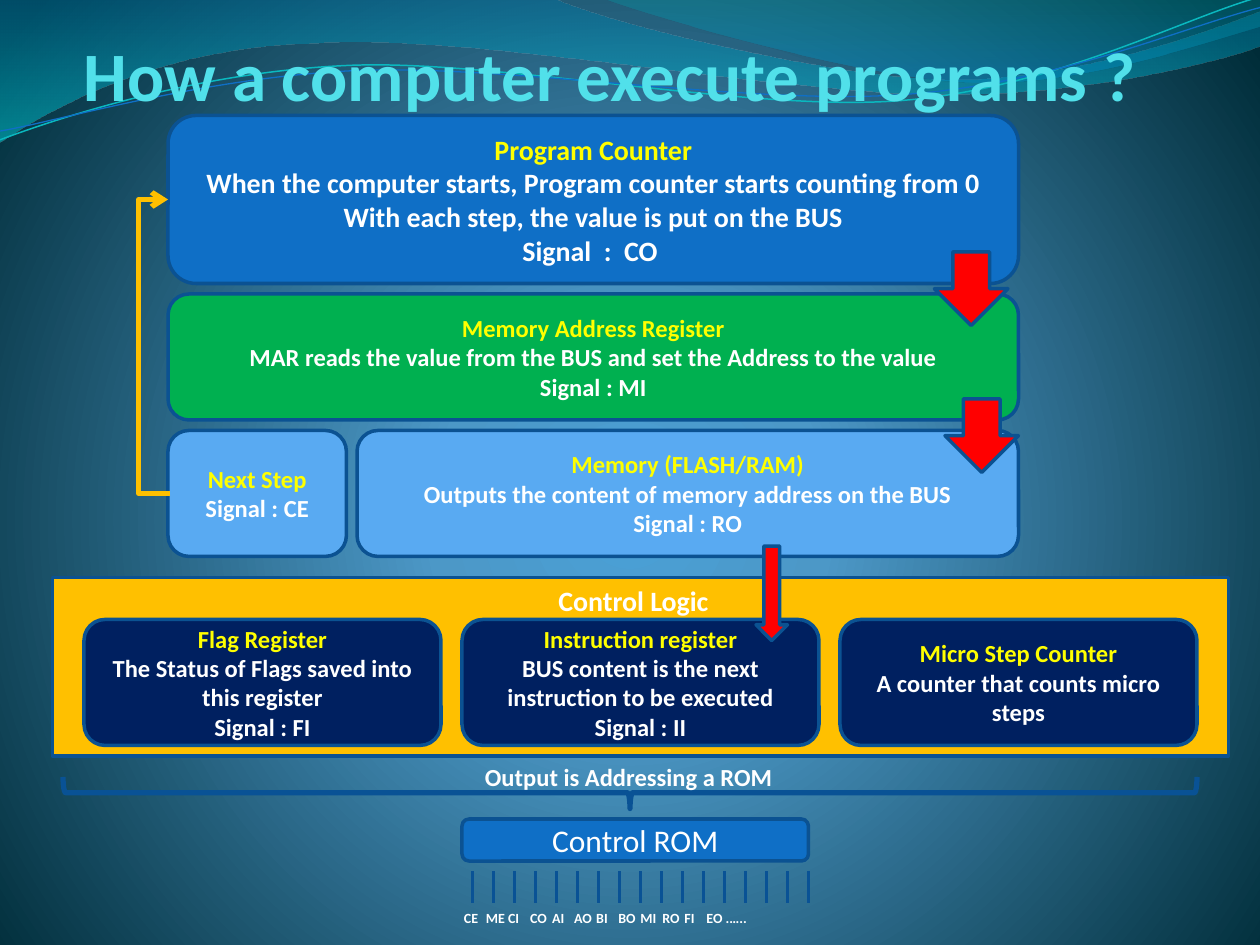
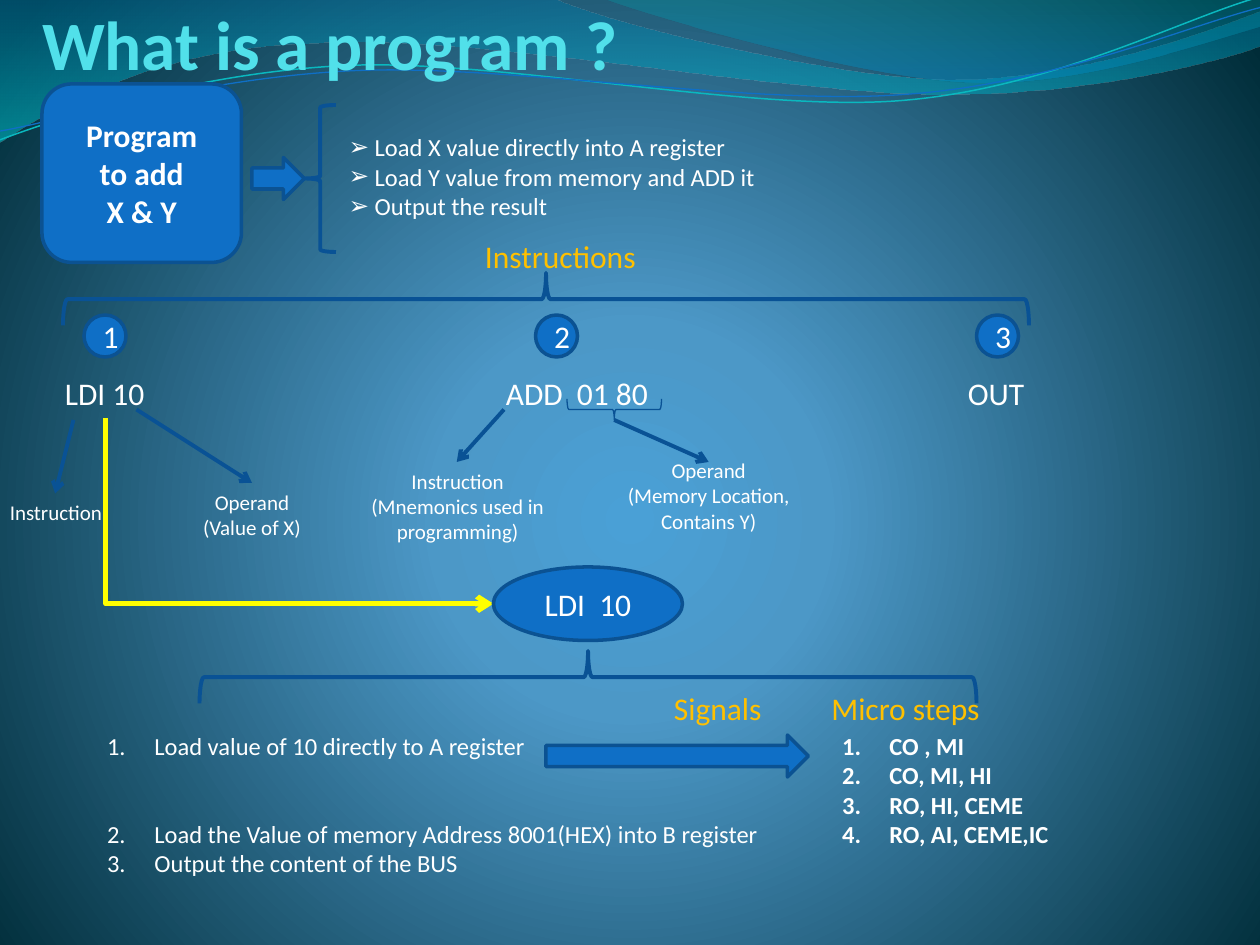
from dataclasses import dataclass

from pptx import Presentation
from pptx.dml.color import RGBColor
from pptx.enum.shapes import MSO_CONNECTOR as Link, MSO_SHAPE as Kind
from pptx.enum.text import MSO_ANCHOR as Anchor, MSO_AUTO_SIZE as Fit, PP_ALIGN as Align
from pptx.oxml import parse_xml
from pptx.oxml.ns import nsdecls, qn
from pptx.util import Pt

FONT = "Calibri"
WHITE = RGBColor(0xFF, 0xFF, 0xFF)
YELLOW = RGBColor(0xFF, 0xFF, 0x00)
AMBER = RGBColor(0xFF, 0xC0, 0x00)
RED = RGBColor(0xFF, 0x00, 0x00)
GREEN = RGBColor(0x00, 0xB0, 0x50)
BLUE = RGBColor(0x0F, 0x6F, 0xC6)
SKY = RGBColor(0x59, 0xAA, 0xF2)
NAVY = RGBColor(0x00, 0x20, 0x60)
EDGE = RGBColor(0x0B, 0x52, 0x92)
STROKE = RGBColor(0x09, 0x52, 0x95)
AQUA = RGBColor(0x51, 0xE0, 0xEA)
TEAL = RGBColor(0x0A, 0xB8, 0xBF)

CIRCLE = ('<a:path path="circle"><a:fillToRect l="10000" t="110000" '
          'r="10000" b="100000"/></a:path>')
DOWNWARD = '<a:lin ang="5400000" scaled="1"/>'


@dataclass
class Box:
    """An area in points; inside() gives a part relative to its corner."""
    left: float
    top: float
    width: float
    height: float

    def inside(self, x, y, width, height):
        return Box(self.left + x, self.top + y, width, height)

    def lengths(self):
        return Pt(self.left), Pt(self.top), Pt(self.width), Pt(self.height)


# ---- Text ----
def write(frame, lines, size, color=WHITE, bold=False, align=Align.LEFT, heading=None):
    """One paragraph a line; the first takes the heading colour, if any."""
    frame.text = "\n".join(lines)
    for index, para in enumerate(frame.paragraphs):
        para.alignment = align
        para.space_before = Pt(0)
        for span in para.runs:
            span.font.name = FONT
            span.font.size = Pt(size)
            span.font.bold = bold
            span.font.color.rgb = heading if heading and index == 0 else color


def add_label(page, box, lines, size, wrap=False, **style):
    frame = page.shapes.add_textbox(*box.lengths()).text_frame
    frame.word_wrap = wrap
    write(frame, lines, size, **style)
    return frame


def fill_placeholder(holder, box, lines, size, anchor, **style):
    holder.left, holder.top, holder.width, holder.height = box.lengths()
    frame = holder.text_frame
    frame.auto_size = Fit.NONE
    frame.vertical_anchor = anchor
    write(frame, lines, size, **style)
    return frame


def add_title(page, box, text):
    frame = fill_placeholder(page.shapes.title, box, [text], 39.6, Anchor.BOTTOM,
                             color=AQUA, bold=True)
    frame.margin_left = frame.margin_top = frame.margin_bottom = Pt(0)
    frame.margin_right = Pt(1.5)


def add_list(holder, box, lines, bullet, indent=0, bold=False):
    frame = fill_placeholder(holder, box, lines, 14, Anchor.TOP, bold=bold)
    for para in frame.paragraphs:
        properties = para._p.get_or_add_pPr()
        properties.set("marL", str(Pt(indent)))
        properties.set("indent", str(-Pt(indent)))
        properties.append(parse_xml(bullet % nsdecls("a")))
    return frame


ARROW_BULLET = '<a:buChar %s char="\u27a2"/>'
NUMBER = '<a:buAutoNum %s type="arabicPeriod"/>'


# ---- Shapes and lines ----
def add_block(page, kind, box, fill, lines=(), size=14, **style):
    shape = page.shapes.add_shape(kind, *box.lengths())
    shape.shadow.inherit = False
    shape.fill.solid()
    shape.fill.fore_color.rgb = fill
    shape.line.color.rgb = EDGE
    shape.line.width = Pt(2)
    if lines:
        write(shape.text_frame, lines, size, align=Align.CENTER, **style)


def add_card(page, box, fill, lines, size=14):
    add_block(page, Kind.ROUNDED_RECTANGLE, box, fill, lines, size, bold=True, heading=YELLOW)


def add_brace(page, kind, box, weight=2.25):
    """A brace filling the box, turned on its side where the box is wide."""
    frame, turn = box, 0
    if box.width > box.height:
        shift = (box.width - box.height) / 2
        frame, turn = box.inside(shift, -shift, box.height, box.width), 90
    brace = page.shapes.add_shape(kind, *frame.lengths())
    brace.shadow.inherit = False
    brace.rotation = turn
    brace.fill.background()
    brace.line.color.rgb = STROKE
    brace.line.width = Pt(weight)


def add_link(page, box, color=STROKE, weight=2.25, arrow=True, kind=Link.STRAIGHT):
    """A line over the box, from its corner by its (signed) width and height."""
    link = page.shapes.add_connector(kind, Pt(box.left), Pt(box.top),
                                     Pt(box.left + box.width), Pt(box.top + box.height))
    link.line.color.rgb = color
    link.line.width = Pt(weight)
    properties = link.element.spPr
    if arrow:
        properties.find(qn("a:ln")).append(
            parse_xml('<a:tailEnd %s type="arrow"/>' % nsdecls("a")))
    properties.append(parse_xml("<a:effectLst %s/>" % nsdecls("a")))
    return properties


def add_elbow(page, box, color, preset, turn, flip=False, bend=None):
    properties = add_link(page, box, color, 3, kind=Link.ELBOW)
    frame = properties.find(qn("a:xfrm"))
    frame.set("rot", str(turn * 60000))
    if flip:
        frame.set("flipH", "1")
    geometry = properties.find(qn("a:prstGeom"))
    geometry.set("prst", preset)
    if bend:
        guides = geometry.find(qn("a:avLst"))
        guides.append(parse_xml('<a:gd %s name="adj1" fmla="val %d"/>'
                                % (nsdecls("a"), bend * 100000)))


# ---- Shared backdrop ----
def paint_gradient(properties, stops, shading):
    """Replace a solid fill by stops of (position, colour, opacity)."""
    marks = "".join(
        f'<a:gs pos="{place * 1000}"><a:srgbClr val="{color}">'
        f'<a:alpha val="{opacity * 1000}"/></a:srgbClr></a:gs>'
        for place, color, opacity in stops)
    gradient = parse_xml(f'<a:gradFill {nsdecls("a")} rotWithShape="1">'
                         f"<a:gsLst>{marks}</a:gsLst>{shading}</a:gradFill>")
    properties.replace(properties.find(qn("a:solidFill")), gradient)


def add_wave(page, start, steps, closed=False):
    """An outline whose steps are lines (one point) or curves (three points)."""
    builder = page.shapes.build_freeform(Pt(start[0]), Pt(start[1]))
    points = [(Pt(x), Pt(y)) for step in steps for x, y in step]
    builder.add_line_segments(points, close=closed)
    wave = builder.convert_to_shape()
    wave.shadow.inherit = False
    segments = iter(list(wave.element.iter(qn("a:lnTo"))))
    for step in steps:
        parts = [next(segments) for _ in step]
        if len(parts) == 3:
            curve = parse_xml("<a:cubicBezTo %s/>" % nsdecls("a"))
            parts[0].addprevious(curve)
            for part in parts:
                curve.append(part[0])
                part.getparent().remove(part)
    return wave


def build_backdrop(master, page):
    master.background.fill.solid()
    paint_gradient(next(master.element.iter(qn("p:bgPr"))),
                   [(0, "4AA0D6", 100), (25, "4C98C7", 100), (100, "002C38", 100)], CIRCLE)
    bands = [
        ((0, 0), [[(316.8, -0.7)],
                  [(342.7, 12.2), (478.1, 45.4), (545.8, 45.4)],
                  [(614.2, 45.4), (689.8, 18.7), (720, 6.5)],
                  [(720.7, 25.9)],
                  [(707.8, 31.7), (626.4, 54.7), (537.1, 54)],
                  [(447.8, 54), (275, 20.2), (185, 24.5)],
                  [(92.9, 25.9), (33.1, 59.8), (-0.7, 81.4)]],
         [(0, "0074A1", 45), (100, "00C6CF", 55)]),
        ((344.9, -0.7), [[(366.5, 7.9), (491, 44.6), (553.7, 46.8)],
                         [(616.3, 49.7), (691.9, 23), (720, 15.1)],
                         [(720, 0)]],
         [(0, "00A1A9", 30), (80, "008BBF", 45)])]
    strands = [
        ((0, 79.9), [[(34.6, 67), (113.8, 41), (199.4, 37.4)],
                     [(284.4, 33.8), (427, 64.1), (513.4, 57.6)],
                     [(599.8, 51.1), (675.4, 10.8), (718.6, -1.4)]], TEAL, 0.85),
        ((0, 74.9), [[(33.8, 69.1), (118.1, 43.9), (203.8, 40.3)],
                     [(290.2, 36.7), (429.8, 60.5), (516.2, 54)],
                     [(601.9, 48.2), (677.5, 15.1), (720, 4.3)]], BLUE, 0.75)]
    waves = []
    for start, steps, stops in bands:
        wave = add_wave(page, start, steps, closed=True)
        wave.line.fill.background()
        wave.fill.solid()
        paint_gradient(wave.element.spPr, stops, DOWNWARD)
        waves.append(wave)
    for start, steps, color, weight in strands:
        wave = add_wave(page, start, steps)
        wave.fill.background()
        wave.line.color.rgb = color
        wave.line.width = Pt(weight)
        waves.append(wave)
    # The waves belong on the master, behind its placeholders
    tree = master.element.cSld.spTree
    for place, wave in enumerate(waves, start=2):
        tree.insert(place, wave.element)


# ---- Slide 1: regions ----
def draw_fetch_chain(page, box):
    add_card(page, box.inside(0, 0, box.width, 96), BLUE, [
        "Program Counter",
        "When the computer starts, Program counter starts counting from 0",
        "With each step, the value is put on the BUS", "Signal  :  CO "], 16)
    add_card(page, box.inside(0, 102, box.width, 72), GREEN, [
        "Memory Address Register",
        "MAR reads the value from the BUS and set the Address to the value", "Signal : MI"])
    add_card(page, box.inside(108, 180, box.width - 108, 72), SKY, [
        "Memory (FLASH/RAM)", "Outputs the content of memory address on the BUS",
        "Signal : RO"])
    add_card(page, box.inside(0, 180, 102, 72), SKY, ["Next Step", "Signal : CE"])
    for x, y in [(438, 78), (444, 162)]:
        add_block(page, Kind.DOWN_ARROW, box.inside(x, y, 42, 42), RED)
    add_elbow(page, box.inside(0, 48, 1.2, 168), AMBER, "bentConnector3", 180, bend=15)


def draw_control_logic(page, box):
    add_block(page, Kind.RECTANGLE, box, AMBER)
    add_label(page, box.inside(282, 0, 101.5, 26.6), ["Control Logic"], 16, bold=True)
    registers = [
        ["Flag Register", "The Status of Flags saved into this register", "Signal : FI"],
        ["Instruction register", "BUS content is the next instruction to be executed",
         "Signal : II"],
        ["Micro Step Counter", "A counter that counts micro steps"]]
    for column, lines in enumerate(registers):
        add_card(page, box.inside(18 + 216 * column, 24, 204, 72), NAVY, lines)
    add_block(page, Kind.DOWN_ARROW, box.inside(402, -18, 18, 54), RED)


def draw_control_rom(page, box):
    add_brace(page, Kind.RIGHT_BRACE, box.inside(0, 12, box.width, 18), 3)
    add_label(page, box.inside(234, 0, 184, 24.5), ["Output is Addressing a ROM"], 14, bold=True)
    add_block(page, Kind.ROUNDED_RECTANGLE, box.inside(228, 36, 198, 24), BLUE,
              ["Control ROM"], 18)
    for pin in range(17):
        add_link(page, box.inside(234 + 12 * pin, 66, 0, 18), arrow=False)
    # Signal names on evenly spaced tab stops
    names = "CE ME CI CO AI AO BI BO MI RO FI EO".split()
    frame = add_label(page, box.inside(222, 84, 198, 17.3), ["\t".join(names) + " .\u2026.."], 8,
                      wrap=True, bold=True)
    stops = "".join(f'<a:tab pos="{Pt(12.6 * stop)}" algn="l"/>' for stop in range(1, len(names)))
    frame.paragraphs[0]._p.get_or_add_pPr().append(
        parse_xml(f'<a:tabLst {nsdecls("a")}>{stops}</a:tabLst>'))


# ---- Slide 2: regions ----
def draw_goal(page, box, holder):
    add_block(page, Kind.ROUNDED_RECTANGLE, box.inside(0, 0, 114, box.height), BLUE,
              ["Program", "to add", "X & Y"], 18, bold=True)
    add_block(page, Kind.RIGHT_ARROW, box.inside(120, 42, 30, 24), BLUE)
    add_brace(page, Kind.LEFT_BRACE, box.inside(150, 12, 18, 84))
    add_list(holder, box.inside(168, 24, 276, 58), [
        " Load X value directly into A register", " Load Y value from memory and ADD it",
        " Output the result"], ARROW_BULLET)


def draw_instructions(page, box):
    add_label(page, box.inside(234, 0, 101.5, 28.8), ["Instructions"], 18, color=AMBER)
    add_brace(page, Kind.LEFT_BRACE, box.inside(0, 24, 552, 30))
    columns = [(12, -6, 60.5, "LDI 10"), (270, 246, 96.5, "ADD  01 80"), (522, 510, 46.8, "OUT")]
    for number, (dot, left, width, code) in enumerate(columns, start=1):
        add_block(page, Kind.OVAL, box.inside(dot, 48, 24, 24), BLUE, [str(number)], 18)
        add_label(page, box.inside(left, 78, width, 28.8), [code], 18)
    add_brace(page, Kind.RIGHT_BRACE, box.inside(288, 96, 54, 12), 0.75)
    # Each note with the arrow that leads to it
    notes = [((-48, 150, 88, 21.6), (6, 108, -10.5, 42), ["Instruction"]),
             ((66, 144, 84, 36), (42, 102, 66, 42), ["Operand", "(Value of X)"]),
             ((168, 132, 115, 51), (252, 102, -27, 30),
              ["Instruction", "(Mnemonics used in programming)"]),
             ((312, 126, 114, 51), (315, 108, 54, 24),
              ["Operand", "(Memory Location, Contains Y)"])]
    for place, arrow, lines in notes:
        add_label(page, box.inside(*place), lines, 12, wrap=True, align=Align.CENTER)
        add_link(page, box.inside(*arrow))


def draw_micro_steps(page, box, steps, signals):
    add_elbow(page, box.inside(64.25, -142.75, 106, 221.5), YELLOW, "bentConnector2", 270,
              flip=True)
    add_block(page, Kind.OVAL, box.inside(228, 0, 108, 42), BLUE, ["LDI  10"], 18)
    add_brace(page, Kind.LEFT_BRACE, box.inside(60, 48, 444, 30))
    for left, width, text in [(324, 65, "Signals"), (414, 100, "Micro steps")]:
        add_label(page, box.inside(left, 66, width, 28.8), [text], 18, color=AMBER)
    frame = add_list(steps, box.inside(0, 90, 408, 92), [
        "Load value of 10 directly to A register",
        "Load the Value of memory Address 8001(HEX) into B register",
        "Output the content of the BUS"], NUMBER, 27)
    frame.paragraphs[1].space_before = Pt(33.5)
    add_block(page, Kind.RIGHT_ARROW, box.inside(258, 96, 150, 24), BLUE)
    add_list(signals, box.inside(420, 90, 168, 75), [
        "CO , MI", "CO, MI, HI", "RO, HI, CEME", "RO, AI, CEME,IC"], NUMBER, 27, bold=True)


# ---- Deck ----
deck = Presentation()
deck.slide_width, deck.slide_height = Pt(720), Pt(540)

page = deck.slides.add_slide(deck.slide_layouts.get_by_name("Title Only"))
build_backdrop(deck.slide_master, page)
add_title(page, Box(48, 18, 630, 48), "How a computer execute programs ?")
draw_fetch_chain(page, Box(96, 66, 486, 252))
draw_control_logic(page, Box(30, 330, 672, 102))
draw_control_rom(page, Box(36, 432, 648, 108))

page = deck.slides.add_slide(deck.slide_layouts.get_by_name("Comparison"))
add_title(page, Box(24, 0, 630, 48), "What is a program ?")
holders = page.placeholders
draw_goal(page, Box(24, 48, 444, 102), holders[1])
draw_instructions(page, Box(36, 132, 600, 180))
draw_micro_steps(page, Box(54, 324, 588, 184), holders[2], holders[4])
unused = holders[3].element
unused.getparent().remove(unused)

deck.save("out.pptx")
